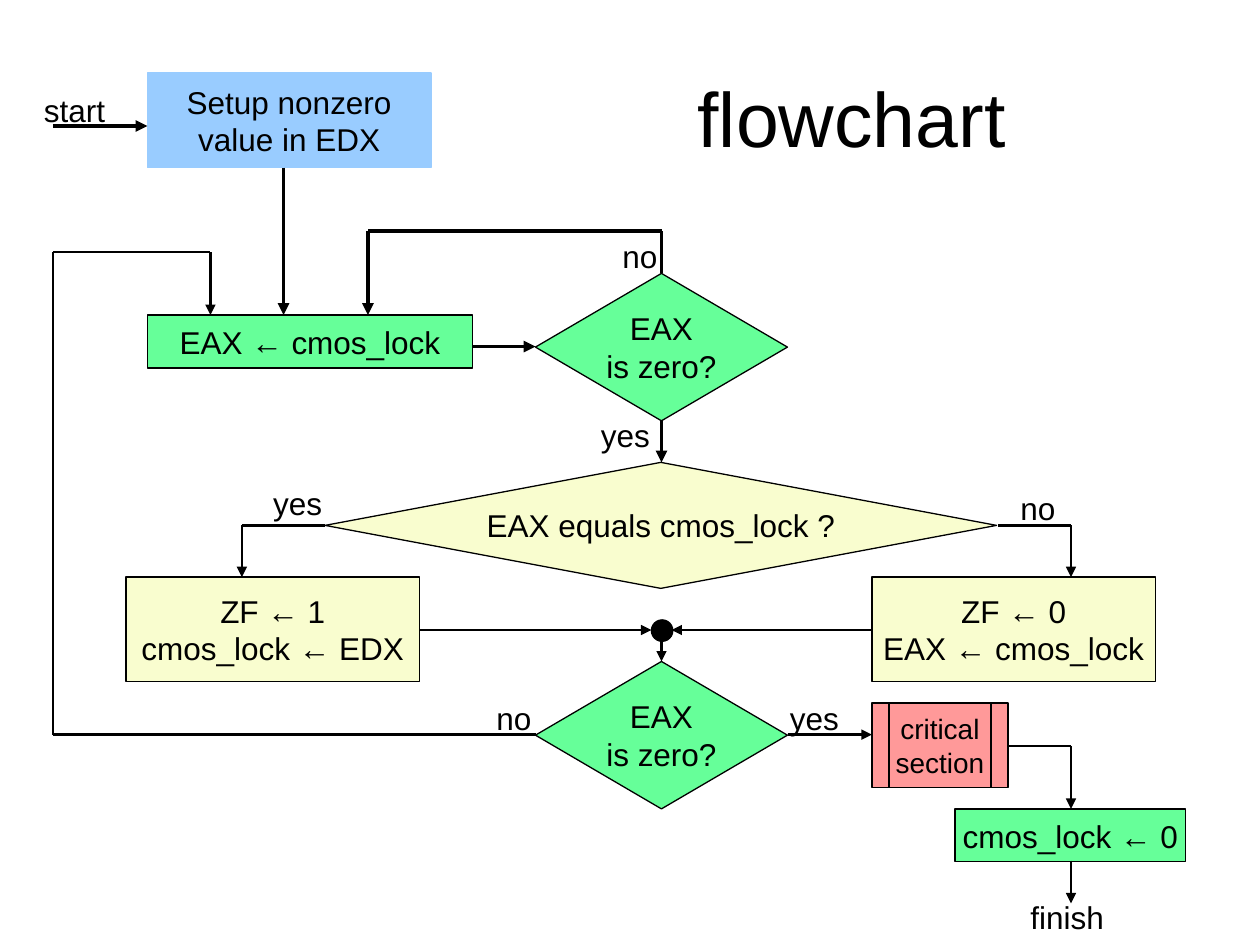
from lxml.etree import SubElement
from pptx import Presentation
from pptx.dml.color import RGBColor
from pptx.enum.shapes import MSO_CONNECTOR as CONN, MSO_SHAPE as SHAPE
from pptx.enum.text import MSO_ANCHOR as ANCHOR, MSO_AUTO_SIZE as AUTO, PP_ALIGN as ALIGN
from pptx.oxml.ns import qn
from pptx.util import Inches, Pt

COLORS = {
    "black": "000000",
    "blue": "99CCFF",
    "green": "66FF99",
    "cream": "F9FDCF",
    "red": "FF9999",
}
THICK, THIN = 2.25, 1.5

BOXES = [
    (SHAPE.RECTANGLE, (1.17, 0.58, 2.25, 0.75), "blue", ["Setup nonzero", "value in EDX"]),
    (SHAPE.RECTANGLE, (1.17, 2.5, 2.58, 0.42), "green", ["EAX ← cmos_lock"]),
    (SHAPE.FLOWCHART_DECISION, (4.25, 2.17, 2, 1.17), "green", ["EAX", "is zero?"]),
    (SHAPE.FLOWCHART_DECISION, (4.25, 5.25, 2, 1.17), "green", ["EAX", "is zero?"]),
    (SHAPE.FLOWCHART_DECISION, (2.58, 3.67, 5.33, 1), "cream", ["EAX equals cmos_lock ?"]),
    (SHAPE.RECTANGLE, (1, 4.58, 2.33, 0.83), "cream", ["ZF ← 1", "cmos_lock ← EDX"]),
    (SHAPE.RECTANGLE, (6.92, 4.58, 2.25, 0.83), "cream", ["ZF ← 0", "EAX ← cmos_lock"]),
    (SHAPE.FLOWCHART_CONNECTOR, (5.17, 4.92, 0.17, 0.17), "black", []),
    (SHAPE.FLOWCHART_PREDEFINED_PROCESS, (6.92, 5.58, 1.08, 0.67), "red", ["critical", "section"]),
    (SHAPE.RECTANGLE, (7.58, 6.42, 1.83, 0.42), "green", ["cmos_lock ← 0"]),
]

PATHS = [
    (THICK, [(0.42, 1), (1.17, 1)]),
    (THICK, [(2.25, 1.33), (2.25, 2.5)]),
    (THICK, [(3.75, 2.75), (4.25, 2.75)]),
    (THICK, [(5.25, 2.17), (5.25, 1.83), (2.92, 1.83), (2.92, 2.5)]),
    (THICK, [(5.25, 3.33), (5.25, 3.67)]),
    (THIN, [(2.58, 4.17), (1.92, 4.17), (1.92, 4.58)]),
    (THIN, [(7.92, 4.17), (8.5, 4.17), (8.5, 4.58)]),
    (THIN, [(3.33, 5), (5.17, 5)]),
    (THIN, [(6.92, 5), (5.33, 5)]),
    (THIN, [(5.25, 5.08), (5.25, 5.25)]),
    (THIN, [(4.25, 5.83), (0.42, 5.83), (0.42, 2), (1.67, 2), (1.67, 2.5)]),
    (THIN, [(6.25, 5.83), (6.92, 5.83)]),
    (THIN, [(8, 5.92), (8.5, 5.92), (8.5, 6.42)]),
    (THIN, [(8.5, 6.83), (8.5, 7.17)]),
]

LABELS = [
    ("start", 0.25, 0.67, 0.74),
    ("no", 4.84, 1.83, 0.48),
    ("yes", 4.67, 3.25, 0.59),
    ("yes", 2.07, 3.79, 0.59),
    ("no", 8, 3.83, 0.48),
    ("no", 3.84, 5.5, 0.48),
    ("yes", 6.17, 5.5, 0.59),
    ("finish", 8.08, 7.08, 0.84),
]


def rgb(name):
    return RGBColor.from_string(COLORS[name])


def write(tf, lines, size=18, align=ALIGN.CENTER, **frame):
    for name, value in frame.items():
        setattr(tf, name, value)
    for i, line in enumerate(lines):
        p = tf.paragraphs[0] if i == 0 else tf.add_paragraph()
        p.alignment = align
        r = p.add_run()
        r.text = line
        for name, value in {"name": "Arial", "size": Pt(size)}.items():
            setattr(r.font, name, value)
        r.font.color.rgb = rgb("black")


def add_box(slide, kind, at, color, lines):
    sp = slide.shapes.add_shape(kind, *map(Inches, at))
    sp.shadow.inherit = False
    sp.fill.solid()
    sp.fill.fore_color.rgb = rgb(color)
    sp.line.color.rgb = rgb("blue" if color == "blue" else "black")
    sp.line.width = Pt(0.75)
    size = 16 if color == "red" else 18
    write(sp.text_frame, lines, size, vertical_anchor=ANCHOR.MIDDLE, word_wrap=False)


def add_path(slide, width, points):
    for start, end in zip(points, points[1:]):
        line = slide.shapes.add_connector(CONN.STRAIGHT, *map(Inches, start + end))
        line.line.color.rgb = rgb("black")
        line.line.width = Pt(width)
        SubElement(line._element.spPr, qn("a:effectLst"))
    SubElement(line.line._get_or_add_ln(), qn("a:tailEnd"), type="triangle")


def add_label(slide, text, x, y, width):
    sp = slide.shapes.add_textbox(*map(Inches, (x, y, width, 0.4)))
    write(sp.text_frame, [text], align=ALIGN.LEFT, word_wrap=False,
          auto_size=AUTO.SHAPE_TO_FIT_TEXT)


def add_title(slide, text):
    sp = slide.shapes.add_textbox(*map(Inches, (0.5, 0.3, 9, 1.25)))
    write(sp.text_frame, [text], 44, word_wrap=True, vertical_anchor=ANCHOR.MIDDLE,
          margin_left=Inches(3.62))


def main():
    prs = Presentation()
    prs.slide_width, prs.slide_height = Inches(10), Inches(7.5)
    slide = prs.slides.add_slide(prs.slide_layouts[6])
    for box in BOXES:
        add_box(slide, *box)
    for path in PATHS:
        add_path(slide, *path)
    for label in LABELS:
        add_label(slide, *label)
    add_title(slide, "flowchart")
    prs.save("out.pptx")


if __name__ == "__main__":
    main()
